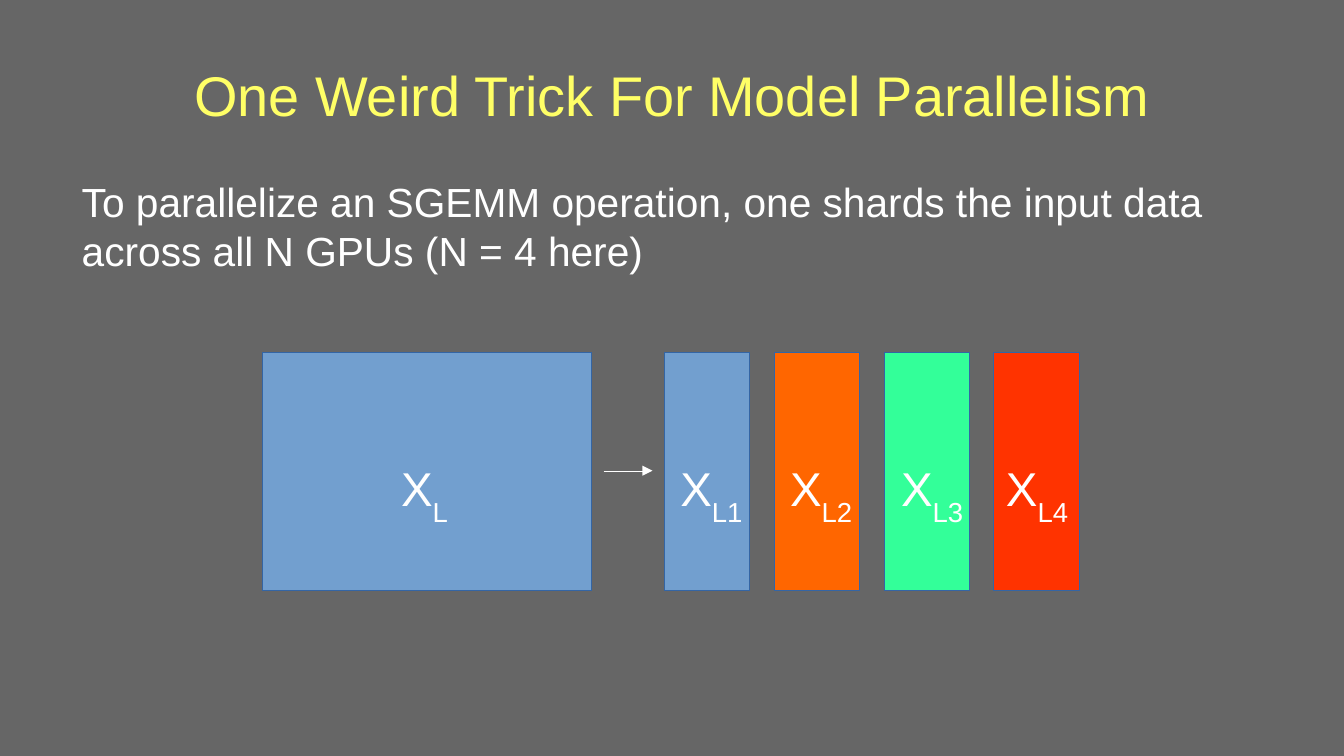
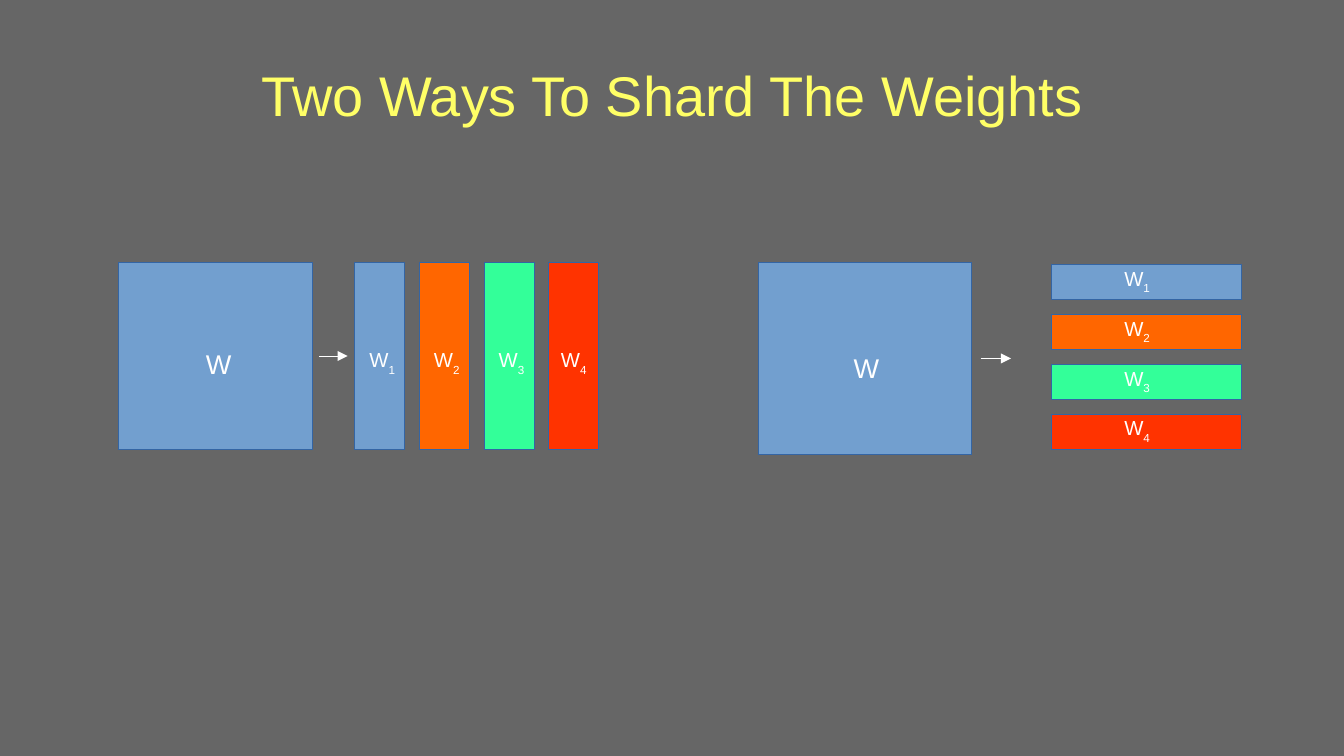
from lxml.etree import SubElement
from pptx import Presentation
from pptx.dml.color import RGBColor
from pptx.enum.shapes import MSO_CONNECTOR, MSO_SHAPE
from pptx.enum.text import MSO_ANCHOR, MSO_AUTO_SIZE, PP_ALIGN
from pptx.oxml.ns import qn
from pptx.util import Inches, Pt

GREY, GOLD, WHITE, EDGE = "666666", "FFFF66", "FFFFFF", "3465A4"
BLUE = "729FCF"
HUES = [BLUE, "FF6600", "33FF99", "FF3300"]


def color(code):
    return RGBColor.from_string(code)


class Deck:
    """Holds the shared style and the current slide, and draws its parts."""

    def __init__(self):
        self.deck = Presentation()
        self.deck.slide_width = Inches(11.02)
        self.deck.slide_height = Inches(6.2)

    def page(self, title):
        self.slide = self.deck.slides.add_slide(self.deck.slide_layouts[5])
        back = self.slide.background.fill
        back.solid()
        back.fore_color.rgb = color(GREY)
        self.host = self.slide.shapes
        head = self.host.title
        head.left, head.top = Inches(0.55), Inches(0.25)
        head.width, head.height = Inches(9.92), Inches(1.04)
        frame = self.inset(head, 0, 0)
        frame.vertical_anchor = MSO_ANCHOR.MIDDLE
        frame.paragraphs[0].alignment = PP_ALIGN.CENTER
        self.run(frame, title, 33, GOLD)

    def group(self):
        self.host = self.slide.shapes.add_group_shape().shapes

    def inset(self, shape, side, edge):
        frame = shape.text_frame
        frame.margin_left = frame.margin_right = Inches(side)
        frame.margin_top = frame.margin_bottom = Inches(edge)
        return frame

    def run(self, frame, text, size, hue=WHITE):
        run = frame.paragraphs[0].add_run()
        run.text = text
        run.font.size = Pt(size)
        run.font.name = "Arial"
        run.font.color.rgb = color(hue)
        return run

    def text(self, x, y, w, h):
        return self.host.add_textbox(Inches(x), Inches(y), Inches(w), Inches(h))

    def body(self, text):
        frame = self.inset(self.text(0.55, 1.45, 9.92, 1), 0, 0)
        frame.margin_left = Inches(0.12)
        frame.word_wrap = True
        self.run(frame, text, 24)

    def label(self, x, y, w, h, size, name, sub=""):
        frame = self.inset(self.text(x, y, w, h), 0.1, 0.05)
        frame.word_wrap = False
        frame.auto_size = MSO_AUTO_SIZE.SHAPE_TO_FIT_TEXT
        self.run(frame, name, size)
        if sub:
            font = self.run(frame, sub, size).font
            font._element.set("baseline", "-33000")

    def hair(self, shape, hue):
        shape.line.color.rgb = color(hue)
        edge = shape.line._get_or_add_ln()
        edge.set("w", "0")
        return edge

    def block(self, x, y, w, h, hue=BLUE):
        rect = self.host.add_shape(MSO_SHAPE.RECTANGLE, Inches(x), Inches(y), Inches(w), Inches(h))
        rect.shadow.inherit = False
        rect.fill.solid()
        rect.fill.fore_color.rgb = color(hue)
        self.hair(rect, EDGE)

    def arrow(self, x, end, y):
        line = self.host.add_connector(
            MSO_CONNECTOR.STRAIGHT, Inches(x), Inches(y), Inches(end), Inches(y))
        SubElement(self.hair(line, WHITE), qn("a:tailEnd"), type="triangle")
        SubElement(line._element.spPr, qn("a:effectLst"))

    def shards(self, box, step, spots, span, size, name, lead=""):
        x, y, w, h = box
        for i, (hue, spot) in enumerate(zip(HUES, spots)):
            self.block(x + i * step[0], y + i * step[1], w, h, hue)
            self.label(*spot, *span, size, name, f"{lead}{i + 1}")


def main():
    deck = Deck()

    deck.page("One Weird Trick For Model Parallelism")
    deck.body("To parallelize an SGEMM operation, one shards the input data "
              "across all N GPUs (N = 4 here)")
    deck.block(2.15, 2.89, 2.7, 1.95)
    deck.label(3.19, 3.72, 0.65, 0.63, 28, "X", "L")
    deck.arrow(4.95, 5.35, 3.86)
    spots = [(x, 3.72) for x in (5.48, 6.38, 7.29, 8.15)]
    deck.shards((5.45, 2.89, 0.7, 1.95), (0.9, 0), spots, (0.75, 0.63), 28, "X", "L")

    deck.page("Two Ways To Shard The Weights")
    deck.group()
    deck.block(0.97, 2.15, 1.59, 1.54)
    deck.label(1.59, 2.8, 0.41, 0.35, 16, "W")
    deck.arrow(2.62, 2.85, 2.92)
    spots = [(x, 2.8) for x in (2.93, 3.46, 3.99, 4.5)]
    deck.shards((2.91, 2.15, 0.41, 1.54), (0.53, 0), spots, (0.45, 0.37), 12, "W")

    deck.group()
    deck.block(6.22, 2.15, 1.75, 1.58)
    deck.label(6.9, 2.83, 0.41, 0.35, 16, "W")
    deck.arrow(8.04, 8.29, 2.94)
    spots = [(9.12, 2.13 + i * 0.41) for i in range(4)]
    deck.shards((8.62, 2.17, 1.56, 0.29), (0, 0.41), spots, (0.45, 0.38), 12, "W")

    deck.deck.save("out.pptx")


if __name__ == "__main__":
    main()
